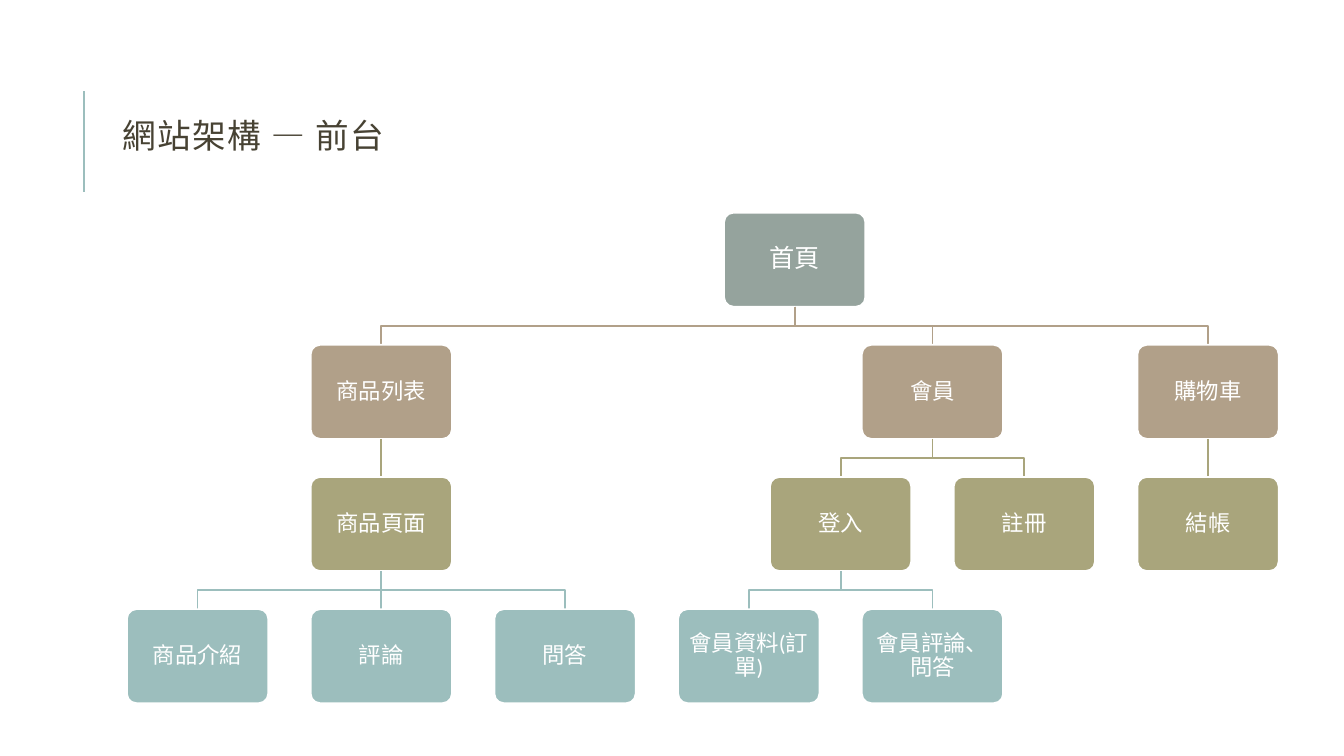
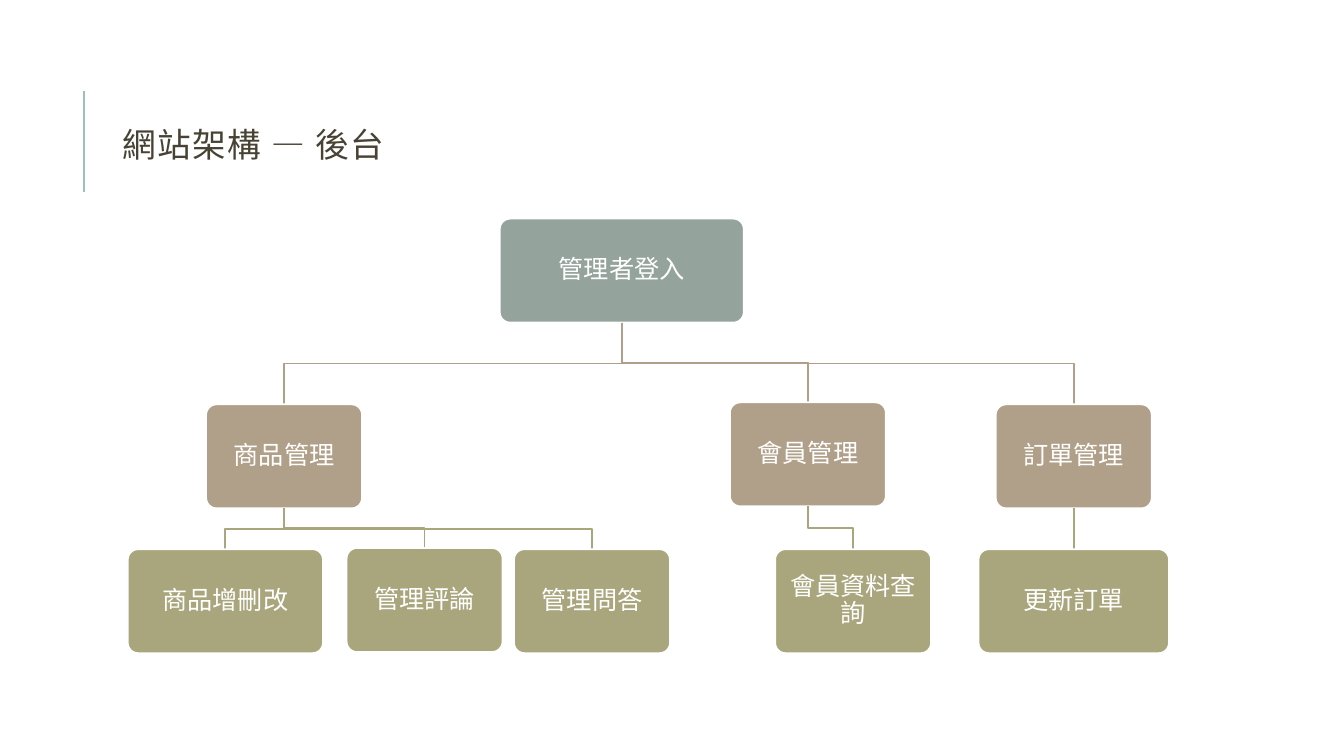
from dataclasses import dataclass, field

from lxml import etree
from pptx import Presentation
from pptx.dml.color import RGBColor
from pptx.enum.shapes import MSO_CONNECTOR, MSO_SHAPE
from pptx.enum.text import MSO_ANCHOR, PP_ALIGN
from pptx.oxml.ns import qn
from pptx.util import Cm, Pt

ROUND = MSO_SHAPE.ROUNDED_RECTANGLE
STRAIGHT = MSO_CONNECTOR.STRAIGHT
MIDDLE = MSO_ANCHOR.MIDDLE
LEFT, CENTER = PP_ALIGN.LEFT, PP_ALIGN.CENTER
TOP_SIDE, LOW_SIDE = 0, 2  # connection sites of a box


@dataclass
class Node:
    text: str
    kids: list = field(default_factory=list)
    mid: float = None    # centre; by default halfway between outer kids
    width: float = None  # by default the width of the chart's boxes
    lift: float = 0

    def __post_init__(self):
        if self.mid is None:
            self.mid = (self.kids[0].mid + self.kids[-1].mid) / 2


@dataclass
class Grid:
    tops: list
    width: float
    height: float
    sizes: list  # text size on each level


def ink(code):
    return RGBColor.from_string(code)


def write(frame, text, font="Calibri", size=18, color="FFFFFF",
          align=CENTER, lead=0.9, track=0):
    frame.word_wrap = True
    frame.vertical_anchor = MIDDLE
    para = frame.paragraphs[0]
    para.alignment = align
    para.line_spacing = lead
    run = para.add_run()
    run.text = text
    run.font.name = font
    run.font.size = Pt(size)
    run.font.color.rgb = ink(color)
    if track:
        run._r.get_or_add_rPr().set("spc", str(track))


class Deck:
    WHITE, DARK, TEAL = "FFFFFF", "474233", "9CBEBD"
    LEVELS = ["95A39D", "B1A089", "A9A57C", TEAL]
    STROKE = 1.25

    def __init__(self):
        self.file = Presentation()
        self.file.slide_width = Cm(33.87)
        self.file.slide_height = Cm(19.05)
        self.slide = None

    def page(self, title, top):
        self.slide = self.file.slides.add_slide(self.file.slide_layouts[5])
        self.line(2.12, 4.83, 2.12, 2.29, self.TEAL, 1.5)
        head = self.slide.shapes.title
        head.left, head.top = Cm(2.84), Cm(top)
        head.width, head.height = Cm(27), Cm(4.17)
        write(head.text_frame, title, font="Cabin", size=24,
              color=self.DARK, align=LEFT, lead=0.8, track=100)

    def line(self, x1, y1, x2, y2, color, width):
        line = self.slide.shapes.add_connector(
            STRAIGHT, Cm(x1), Cm(y1), Cm(x2), Cm(y2))
        line.line.color.rgb = ink(color)
        line.line.width = Pt(width)
        etree.SubElement(line._element.spPr, qn("a:effectLst"))
        return line

    def box(self, node, level, grid):
        width = node.width or grid.width
        box = self.slide.shapes.add_shape(
            ROUND, Cm(node.mid - width / 2), Cm(grid.tops[level] - node.lift),
            Cm(width), Cm(grid.height))
        box.adjustments[0] = 0.1
        box.shadow.inherit = False
        box.fill.solid()
        box.fill.fore_color.rgb = ink(self.LEVELS[level])
        box.line.color.rgb = ink(self.WHITE)
        box.line.width = Pt(self.STROKE)
        frame = box.text_frame
        frame.margin_left = frame.margin_right = Cm(0.17)
        frame.margin_top = frame.margin_bottom = Cm(0.17)
        write(frame, node.text, size=grid.sizes[level])
        return box

    def elbow(self, x1, y1, x2, y2, color):
        half = (y1 + y2) / 2
        pen = self.slide.shapes.build_freeform(Cm(x1), Cm(y1))
        pen.add_line_segments(
            [(Cm(x1), Cm(half)), (Cm(x2), Cm(half)), (Cm(x2), Cm(y2))],
            close=False)
        bend = pen.convert_to_shape()
        bend.shadow.inherit = False
        bend.fill.background()
        bend.line.color.rgb = ink(color)
        bend.line.width = Pt(self.STROKE)

    def tree(self, node, grid, level=0):
        box = self.box(node, level, grid)
        for kid in node.kids:
            color = self.LEVELS[level + 1]
            ends = (node.mid, grid.tops[level] + grid.height - node.lift,
                    kid.mid, grid.tops[level + 1] - kid.lift)
            if abs(kid.mid - node.mid) < 0.01:
                link = self.line(*ends, color, self.STROKE)
                low = self.tree(kid, grid, level + 1)
                link.begin_connect(box, LOW_SIDE)
                link.end_connect(low, TOP_SIDE)
            else:
                self.elbow(*ends, color)
                self.tree(kid, grid, level + 1)
        return box


def leaf(text, slot):
    return Node(text, mid=4.98 + 4.63 * slot)


def main():
    deck = Deck()

    # Shop front: leaves sit on even slots
    deck.page("網站架構 — 前台", 1.42)
    goods = Node("商品列表", [Node("商品頁面", [
        leaf("商品介紹", 0), leaf("評論", 1), leaf("問答", 2)])])
    member = Node("會員", [
        Node("登入", [leaf("會員資料(訂單)", 3), leaf("會員評論、問答", 4)]),
        leaf("註冊", 4.5)])
    cart = Node("購物車", [leaf("結帳", 5.5)])
    grid = Grid([5.36 + 3.33 * row for row in range(4)],
                3.56, 2.37, [18, 16, 16, 16])
    deck.tree(Node("首頁", [goods, member, cart]), grid)

    # Back office: boxes placed one by one
    deck.page("網站架構 — 後台", 1.63)
    goods = Node("商品管理", [
        Node("商品增刪改", mid=5.68, width=4.92),
        Node("管理評論", mid=10.7, lift=0.03),
        Node("管理問答", mid=14.92)], mid=7.16)
    member = Node("會員管理", [Node("會員資料查詢", mid=21.5)],
                  mid=20.36, lift=0.05)
    order = Node("訂單管理", [Node("更新訂單", mid=27.06, width=4.8)])
    grid = Grid([5.51, 10.19, 13.84], 3.93, 2.62, [18, 18, 18])
    deck.tree(Node("管理者登入", [goods, member, order],
                   mid=15.67, width=6.15), grid)

    deck.file.save("out.pptx")


if __name__ == "__main__":
    main()
